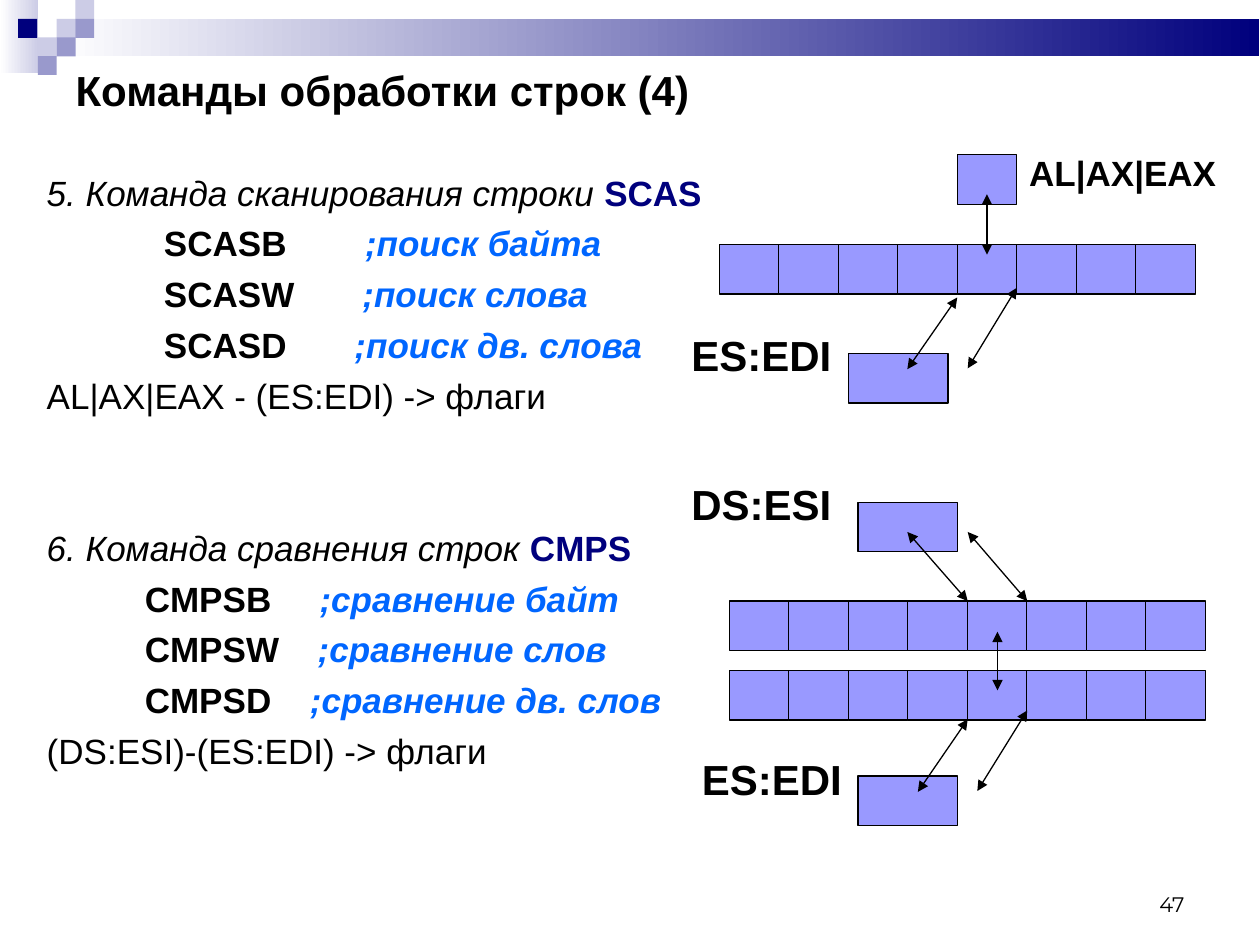
from lxml.etree import SubElement
from pptx import Presentation
from pptx.dml.color import RGBColor
from pptx.enum.shapes import MSO_CONNECTOR, MSO_SHAPE
from pptx.enum.text import MSO_ANCHOR, MSO_AUTO_SIZE, PP_ALIGN
from pptx.oxml.ns import qn
from pptx.util import Pt

COLORS = {
    "black": "000000",
    "white": "FFFFFF",
    "navy": "00007D",
    "comment": "0066FF",
    "cell": "9999FF",
    "pale": "CCCCE6",
    "violet": "9999CC",
}
CELL_WIDTH, CELL_HEIGHT, CELL_COUNT = 34, 28.3, 8
POINTER_WIDTH = 57
BODY_LEFT, BODY_TOP = 19.5, 94.2
LINE_GAP = 5
LINE_PITCH = 29
SECTION_GAP = LINE_GAP + 2 * LINE_PITCH
SECTION_LINES = 7
COMMENT_OFFSET = 150

# heading, mnemonic, indent, rows of (command, comment, comment indent), result
SECTIONS = [
    ("5. Команда сканирования строки ", "SCAS", 67,
     [("SCASB", ";поиск байта", 32),
      ("SCASW", ";поиск слова", 30.5),
      ("SCASD", ";поиск дв. слова", 26)],
     "AL|AX|EAX - (ES:EDI) -> флаги"),
    ("6. Команда сравнения строк ", "CMPS", 56,
     [("СMPSB", ";сравнение байт", 6),
      ("СMPSW", ";сравнение слов", 5),
      ("СMPSD", ";сравнение дв. слов", 0.5)],
     "(DS:ESI)-(ES:EDI) -> флаги"),
]


def color(name):
    return RGBColor.from_string(COLORS[name])


def place(shape, left, top, width, height):
    shape.left, shape.top = Pt(left), Pt(top)
    shape.width, shape.height = Pt(width), Pt(height)


def style(paragraph, size, bold=False, name="Arial"):
    font = paragraph.font
    font.name, font.size, font.bold = name, Pt(size), bold
    font.color.rgb = color("black")


def add_run(paragraph, text, bold=False, italic=False, color_name="black"):
    run = paragraph.add_run()
    run.text = text
    run.font.bold, run.font.italic = bold, italic
    run.font.color.rgb = color(color_name)


def add_rectangle(slide, left, top, width, height, fill, outlined=False):
    """Fill with one colour name, or with a left-to-right pair of them."""
    shape = slide.shapes.add_shape(
        MSO_SHAPE.RECTANGLE, Pt(left), Pt(top), Pt(width), Pt(height))
    shape.shadow.inherit = False
    if isinstance(fill, tuple):
        shape.fill.gradient()
        shape.fill.gradient_angle = 0
        for stop, name in zip(shape.fill.gradient_stops, fill):
            stop.color.rgb = color(name)
    else:
        shape.fill.solid()
        shape.fill.fore_color.rgb = color(fill)
    if outlined:
        shape.line.color.rgb = color("black")
        shape.line.width = Pt(0.75)
    else:
        shape.line.fill.background()


def add_cell_row(slide, left, top):
    for index in range(CELL_COUNT):
        add_rectangle(slide, left + index * CELL_WIDTH, top,
                      CELL_WIDTH, CELL_HEIGHT, "cell", outlined=True)


def add_text_box(slide, left, top, width, height):
    box = slide.shapes.add_textbox(Pt(left), Pt(top), Pt(width), Pt(height))
    box.text_frame.word_wrap = True
    return box.text_frame


def add_label(slide, text, left, top, width, height, size):
    paragraph = add_text_box(slide, left, top, width, height).paragraphs[0]
    paragraph.text = text
    style(paragraph, size, bold=True)


def add_double_arrow(slide, start_x, start_y, end_x, end_y):
    arrow = slide.shapes.add_connector(
        MSO_CONNECTOR.STRAIGHT, Pt(start_x), Pt(start_y), Pt(end_x), Pt(end_y))
    arrow.line.color.rgb = color("black")
    arrow.line.width = Pt(0.75)
    properties = arrow.element.spPr
    outline = properties.find(qn("a:ln"))
    for end in ("a:headEnd", "a:tailEnd"):
        SubElement(outline, qn(end), type="triangle")
    SubElement(properties, qn("a:effectLst"))


def add_header_decoration(slide):
    add_rectangle(slide, 0, 0, 22, 42, ("white", "pale"))
    add_rectangle(slide, 32.4, 10.8, 687, 21.4, ("white", "navy"))
    squares = [(32.4, 10.8, "pale"), (43, 0, "pale"), (43, 10.8, "violet"),
               (21.6, 21.4, "pale"), (10.4, 10.8, "navy"),
               (32.4, 21.4, "violet"), (21.6, 32, "violet")]
    for left, top, fill in squares:
        add_rectangle(slide, left, top, 10.8, 10.8, fill)


def fill_title(title):
    place(title, 36, 33.2, 648, 36)
    frame = title.text_frame
    frame.auto_size = MSO_AUTO_SIZE.NONE
    frame.vertical_anchor = MSO_ANCHOR.MIDDLE
    paragraph = frame.paragraphs[0]
    paragraph.text = "Команды обработки строк (4)"
    paragraph.alignment = PP_ALIGN.LEFT
    style(paragraph, 24, bold=True)


def add_line(frame, gap=LINE_GAP, indent=0):
    is_first = not frame.paragraphs[0].runs
    paragraph = frame.paragraphs[0] if is_first else frame.add_paragraph()
    paragraph.space_before = Pt(0 if is_first else gap)
    properties = paragraph._p.get_or_add_pPr()
    properties.set("marL", str(Pt(indent)))
    properties.set("indent", "0")
    SubElement(properties, qn("a:buNone"))
    style(paragraph, 20)
    return paragraph


def fill_body(body):
    place(body, BODY_LEFT, BODY_TOP, 648, 388)
    frame = body.text_frame
    frame.auto_size = MSO_AUTO_SIZE.NONE
    for heading, mnemonic, indent, commands, result in SECTIONS:
        paragraph = add_line(frame, gap=SECTION_GAP)
        add_run(paragraph, heading, italic=True)
        add_run(paragraph, mnemonic, bold=True, color_name="navy")
        for command, _, _ in commands:
            add_run(add_line(frame, indent=indent), command, bold=True)
        add_run(add_line(frame), result)


def add_comments(slide):
    """Set the comments beside the command lines of the body."""
    for index, (_, _, _, commands, _) in enumerate(SECTIONS):
        top = BODY_TOP + (index * SECTION_LINES + 1) * LINE_PITCH
        frame = add_text_box(slide, BODY_LEFT + COMMENT_OFFSET, top, 230, 90)
        for _, comment, indent in commands:
            add_run(add_line(frame, indent=indent), comment,
                    bold=True, italic=True, color_name="comment")


def add_scan_diagram(slide):
    add_cell_row(slide, 411, 139.75)
    add_rectangle(slide, 411 + 4 * CELL_WIDTH, 88.5,
                  CELL_WIDTH, CELL_HEIGHT, "cell", outlined=True)
    add_rectangle(slide, 484.75, 202, POINTER_WIDTH, CELL_HEIGHT,
                  "cell", outlined=True)
    add_label(slide, "AL|AX|EAX", 581, 82.8, 125, 32, 20)
    add_label(slide, "ES:EDI", 388, 185, 102, 36, 24)
    add_double_arrow(slide, 564, 145.5, 564, 111)
    add_double_arrow(slide, 518.5, 211, 547, 170)
    add_double_arrow(slide, 553, 210.5, 581, 164.5)


def add_compare_diagram(slide):
    for top in (343.5, 383.25):
        add_cell_row(slide, 416.75, top)
    for top in (287, 443.5):
        add_rectangle(slide, 490.25, top, POINTER_WIDTH, CELL_HEIGHT,
                      "cell", outlined=True)
    add_label(slide, "DS:ESI", 388, 270, 108, 36, 24)
    add_label(slide, "ES:EDI", 394, 427, 102, 36, 24)
    add_double_arrow(slide, 518.5, 304, 553, 343.5)
    add_double_arrow(slide, 553, 304, 587, 343.5)
    add_double_arrow(slide, 524.5, 452.5, 553, 411)
    add_double_arrow(slide, 558.5, 452, 587, 406)
    add_double_arrow(slide, 570, 361, 570, 394.5)


def add_page_number(slide):
    frame = add_text_box(slide, 516, 491.6, 168, 36)
    frame.vertical_anchor = MSO_ANCHOR.BOTTOM
    paragraph = frame.paragraphs[0]
    paragraph.text = "47"
    paragraph.alignment = PP_ALIGN.RIGHT
    style(paragraph, 12, name="Montserrat")


def main():
    presentation = Presentation()
    presentation.slide_width, presentation.slide_height = Pt(720), Pt(540)
    slide = presentation.slides.add_slide(presentation.slide_layouts[1])
    add_header_decoration(slide)
    fill_title(slide.shapes.title)
    fill_body(slide.placeholders[1])
    add_comments(slide)
    add_scan_diagram(slide)
    add_compare_diagram(slide)
    add_page_number(slide)
    presentation.save("out.pptx")


if __name__ == "__main__":
    main()
